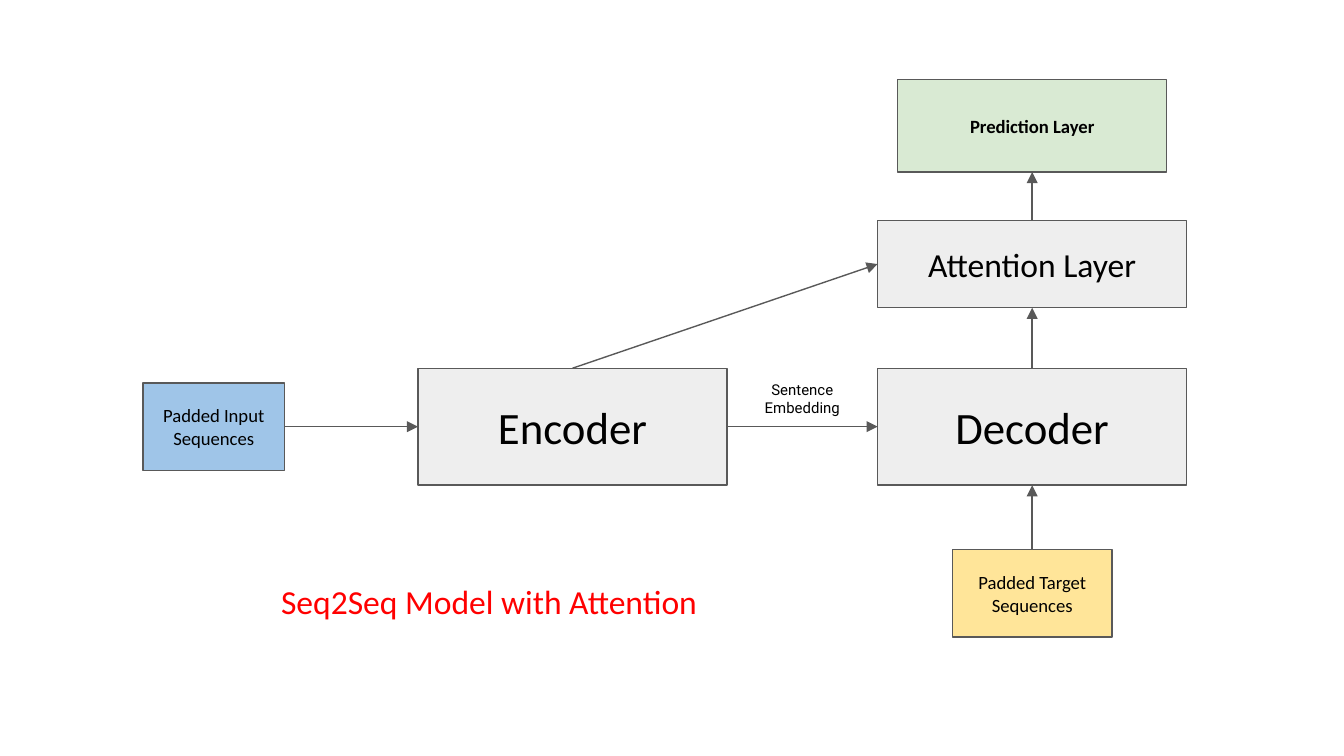
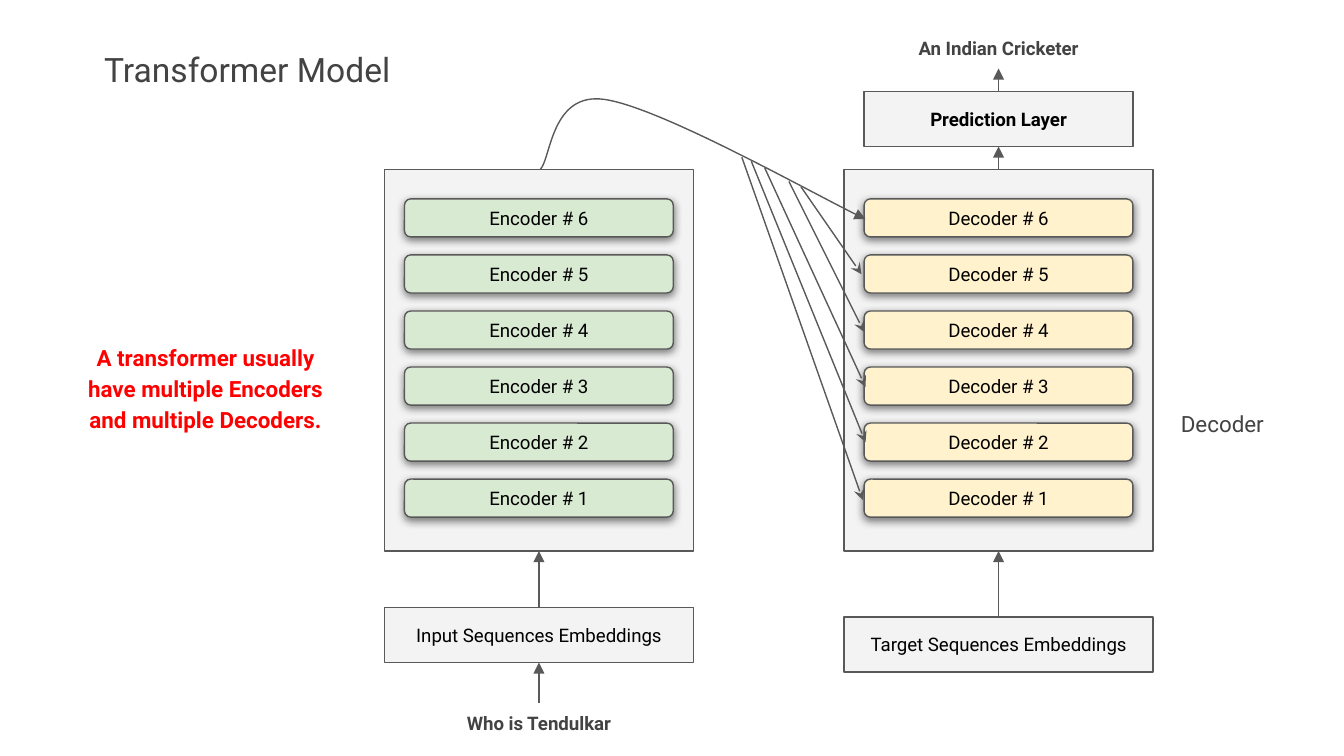
from dataclasses import dataclass, replace
from typing import NamedTuple

from lxml.etree import SubElement
from pptx import Presentation
from pptx.dml.color import RGBColor
from pptx.enum.shapes import MSO_CONNECTOR, MSO_SHAPE
from pptx.enum.text import MSO_ANCHOR, PP_ALIGN
from pptx.oxml.ns import qn
from pptx.util import Inches, Pt

SLIDE_WIDTH = Inches(10)
SLIDE_HEIGHT = SLIDE_WIDTH * 9 // 16
GRID_COLUMNS = 100
CELL = SLIDE_WIDTH / GRID_COLUMNS  # the grid is square, so rows have the same size

BLACK = RGBColor(0x00, 0x00, 0x00)
RED = RGBColor(0xFF, 0x00, 0x00)
INK = RGBColor(0x43, 0x43, 0x43)
STROKE = RGBColor(0x59, 0x59, 0x59)
GREY = RGBColor(0xEE, 0xEE, 0xEE)
PALE_GREY = RGBColor(0xF3, 0xF3, 0xF3)
BLUE = RGBColor(0x9F, 0xC5, 0xE8)
YELLOW = RGBColor(0xFF, 0xE5, 0x99)
CREAM = RGBColor(0xFF, 0xF2, 0xCC)
GREEN = RGBColor(0xD9, 0xEA, 0xD3)

TOP, LEFT, BOTTOM, RIGHT = range(4)


@dataclass(frozen=True)
class Box:
    """A labelled box in grid cells; without a fill it is a plain text box."""

    label: str
    center: float
    top: float
    width: float
    height: float
    fill: RGBColor | None = None
    size: int = 10
    font: str = "Roboto"
    color: RGBColor = BLACK
    bold: bool = False
    spacing: float | None = None
    anchor: MSO_ANCHOR = MSO_ANCHOR.MIDDLE
    raised: bool = False


class Link(NamedTuple):
    source: str
    source_side: int
    target: str
    target_side: int


class Point(NamedTuple):
    column: float
    row: float


class Bend(NamedTuple):
    """One cubic segment: two control points and the end point."""

    leave: Point
    arrive: Point
    end: Point


def cells(count: float) -> int:
    return round(count * CELL)


def style_line(shape, head: str | None = None) -> None:
    shape.line.color.rgb = STROKE
    shape.line.width = Pt(0.75)
    if head:
        outline = shape.element.spPr.find(qn("a:ln"))
        SubElement(outline, qn("a:tailEnd"), type=head)


def raise_with_shadow(shape) -> None:
    effects = shape.element.spPr.find(qn("a:effectLst"))
    shadow = SubElement(effects, qn("a:outerShdw"), blurRad=str(Pt(4.5)),
                        dist=str(Pt(1.5)), dir="5400000", algn="bl", rotWithShape="0")
    color = SubElement(shadow, qn("a:srgbClr"), val=str(BLACK))
    SubElement(color, qn("a:alpha"), val="50000")


def write_label(shape, box: Box) -> None:
    frame = shape.text_frame
    frame.word_wrap = True
    frame.vertical_anchor = box.anchor
    frame.margin_left = frame.margin_right = cells(1)
    frame.margin_top = frame.margin_bottom = cells(1)
    frame.text = box.label
    para = frame.paragraphs[0]
    para.alignment = PP_ALIGN.CENTER
    if box.spacing:
        para.line_spacing = box.spacing
    for span in para.runs:
        span.font.name = box.font
        span.font.size = Pt(box.size)
        span.font.bold = box.bold
        span.font.color.rgb = box.color


def draw_box(page, box: Box):
    place = [cells(length) for length in
             (box.center - box.width / 2, box.top, box.width, box.height)]
    if box.fill is None:
        shape = page.shapes.add_textbox(*place)
    else:
        kind = MSO_SHAPE.ROUNDED_RECTANGLE if box.raised else MSO_SHAPE.RECTANGLE
        shape = page.shapes.add_shape(kind, *place)
        shape.fill.solid()
        shape.fill.fore_color.rgb = box.fill
        style_line(shape)
        shape.shadow.inherit = False
        if box.raised:
            raise_with_shadow(shape)
    if box.label:
        write_label(shape, box)
    return shape


def draw_link(page, shapes: dict, link: Link) -> None:
    arrow = page.shapes.add_connector(MSO_CONNECTOR.STRAIGHT, 0, 0, 0, 0)
    arrow.begin_connect(shapes[link.source], link.source_side)
    arrow.end_connect(shapes[link.target], link.target_side)
    style_line(arrow, "triangle")
    SubElement(arrow.element.spPr, qn("a:effectLst"))


def draw_curve(page, start: Point, bends: list[Bend], head: str) -> None:
    """Build the outline from its end points, then turn each segment into a cubic."""
    builder = page.shapes.build_freeform(cells(start.column), cells(start.row))
    builder.add_line_segments(
        [(cells(bend.end.column), cells(bend.end.row)) for bend in bends], close=False)
    curve = builder.convert_to_shape()
    for segment, bend in zip(list(curve.element.iter(qn("a:lnTo"))), bends):
        segment.tag = qn("a:cubicBezTo")
        for child in list(segment):
            segment.remove(child)
        for point in bend:
            SubElement(segment, qn("a:pt"), x=str(cells(point.column) - curve.left),
                       y=str(cells(point.row) - curve.top))
    curve.fill.background()
    curve.shadow.inherit = False
    style_line(curve, head)


def draw_branch(page, start: Point, end: Point) -> None:
    def along(share: float) -> Point:
        return Point(*(a + (b - a) * share for a, b in zip(start, end)))

    draw_curve(page, start, [Bend(along(1 / 6), along(5 / 6), end)], "stealth")


def draw_diagram(page, boxes: dict[str, Box], links: list[Link]) -> None:
    shapes = {name: draw_box(page, box) for name, box in boxes.items()}
    for link in links:
        draw_link(page, shapes, link)


def build_attention_slide(page) -> None:
    encoder_center, decoder_center = 42.6, 76.8
    encoder = Box("Encoder", encoder_center, 27.4, 23, 8.7, GREY, 24, "Calibri")
    source = Box("Padded Input Sequences", 15.9, 28.5, 10.5, 6.5, BLUE, 10, "Calibri")
    boxes = {
        "encoder": encoder,
        "decoder": replace(encoder, label="Decoder", center=decoder_center),
        "input": source,
        "target": replace(source, label="Padded Target Sequences", center=decoder_center,
                          top=40.9, width=11.9, fill=YELLOW),
        "prediction": Box("Prediction Layer", decoder_center, 5.9, 20, 6.9, GREEN,
                          font="Calibri", bold=True),
        "embedding": Box("Sentence Embedding", 59.7, 27.3, 10.5, 5.1, size=8,
                         anchor=MSO_ANCHOR.TOP),
        "title": Box("Seq2Seq Model with Attention", 36.4, 40, 53, 9.5, size=18,
                     font="Calibri", color=RED),
        "attention": replace(encoder, label="Attention Layer", center=decoder_center,
                             top=16.4, height=6.5, size=18),
    }
    draw_diagram(page, boxes, [
        Link("encoder", RIGHT, "decoder", LEFT),
        Link("input", RIGHT, "encoder", LEFT),
        Link("target", TOP, "decoder", BOTTOM),
        Link("encoder", TOP, "attention", LEFT),
        Link("decoder", TOP, "attention", BOTTOM),
        Link("attention", TOP, "prediction", BOTTOM),
    ])


def build_transformer_slide(page) -> None:
    encoder_center, decoder_center = 40.1, 74.3
    layer_count, layer_top, layer_step = 6, 14.8, 4.17
    stack = Box("", encoder_center, 12.6, 23, 28.4, PALE_GREY)
    embeddings = Box("Input Sequences Embeddings", encoder_center, 45.2, 23, 4.1, PALE_GREY)
    question = Box("Who is Tendulkar", encoder_center, 52.3, 23, 2.7, color=INK,
                   bold=True, spacing=1.15)
    boxes = {
        "encoders": stack,
        "decoders": replace(stack, center=decoder_center),
        "input": embeddings,
        "target": replace(embeddings, label="Target Sequences Embeddings",
                          center=decoder_center, top=45.9),
        "prediction": replace(embeddings, label="Prediction Layer", center=decoder_center,
                              top=6.8, width=20, bold=True),
        "title": Box("Transformer Model", 18.4, 1.3, 26.2, 7.2, size=18, color=INK,
                     spacing=1.15),
        "claim": Box("A transformer usually have multiple Encoders and multiple Decoders.",
                     15.3, 23.1, 20, 11.3, size=12, color=RED, bold=True, spacing=1.15),
        "side label": Box("Decoder", 90.95, 30.2, 9.5, 2.7, size=12, color=INK),
        "question": question,
        "answer": replace(question, label="An Indian Cricketer", center=decoder_center,
                          top=1.8, height=3.3),
    }
    for kind, center, fill in (("Encoder", encoder_center, GREEN),
                               ("Decoder", decoder_center, CREAM)):
        for number in range(1, layer_count + 1):
            label = f"{kind} # {number}"
            top = layer_top + (layer_count - number) * layer_step
            boxes[label] = Box(label, center, top, 20, 2.83, fill, raised=True)
    draw_diagram(page, boxes, [
        Link("target", TOP, "decoders", BOTTOM),
        Link("decoders", TOP, "prediction", BOTTOM),
        Link("input", TOP, "encoders", BOTTOM),
        Link("prediction", TOP, "answer", BOTTOM),
        Link("question", TOP, "input", BOTTOM),
    ])
    draw_curve(page, Point(40.2, 12.6), [
        Bend(Point(41, 11.8), Point(41, 6.8), Point(45, 7.4)),
        Bend(Point(49.1, 8), Point(61.2, 14.8), Point(64.4, 16.3)),
    ], "triangle")
    for start, end in (
        (Point(59.6, 13.9), Point(64.1, 20.4)),
        (Point(58.7, 13.5), Point(64.3, 24.7)),
        (Point(56.9, 12.5), Point(64.4, 28.8)),
        (Point(55.9, 12), Point(64.4, 32.9)),
        (Point(55.2, 11.7), Point(64.2, 37.2)),
    ):
        draw_branch(page, start, end)


def main() -> None:
    deck = Presentation()
    deck.slide_width, deck.slide_height = SLIDE_WIDTH, SLIDE_HEIGHT
    blank = deck.slide_layouts[6]
    for build in (build_attention_slide, build_transformer_slide):
        build(deck.slides.add_slide(blank))
    deck.save("out.pptx")


if __name__ == "__main__":
    main()
